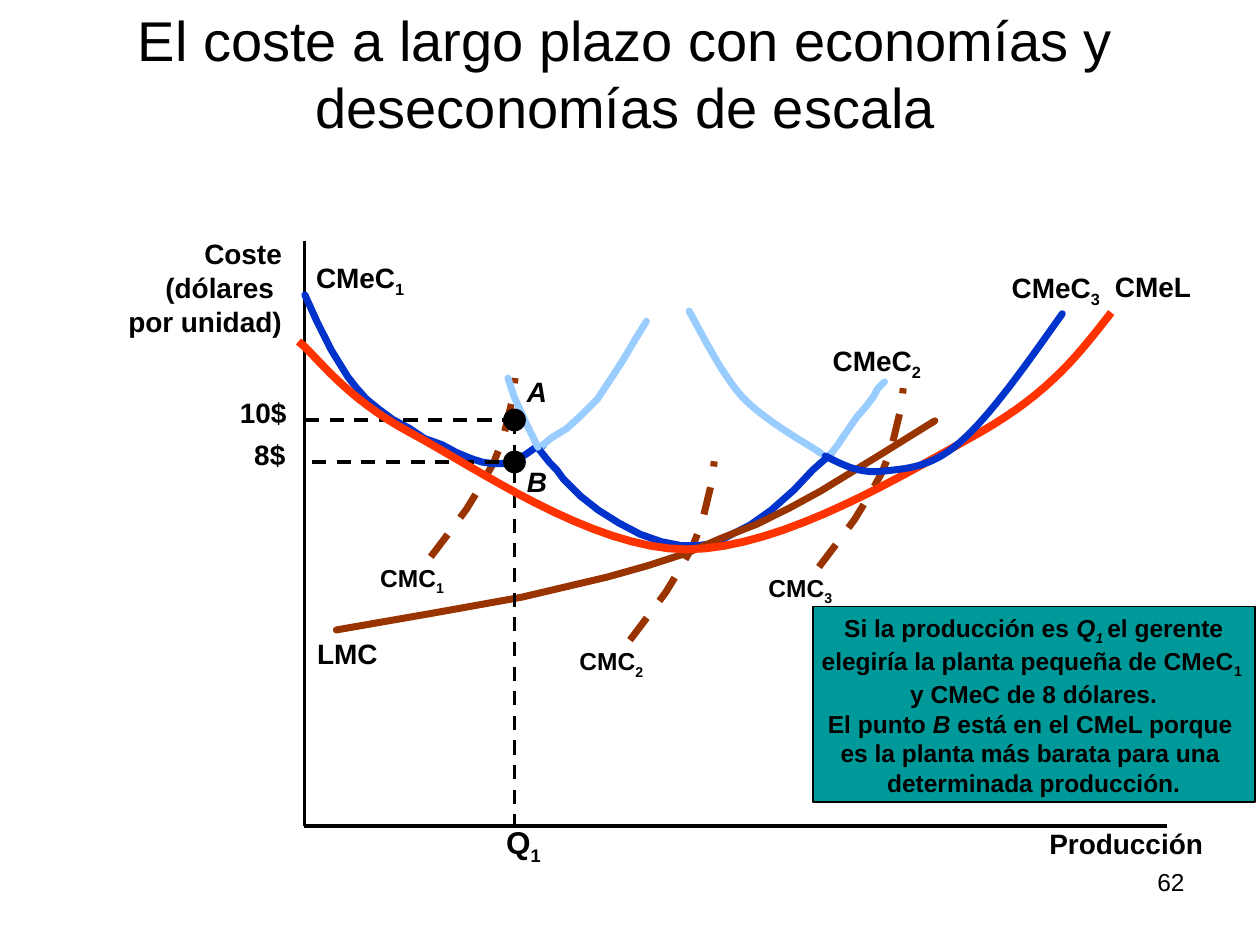
from lxml import etree
from pptx import Presentation
from pptx.dml.color import RGBColor
from pptx.enum.dml import MSO_LINE
from pptx.enum.shapes import MSO_CONNECTOR, MSO_SHAPE
from pptx.enum.text import MSO_ANCHOR, PP_ALIGN
from pptx.oxml.ns import qn
from pptx.util import Pt

COLORS = {"ink": "000000", "blue": "0033CC", "pale": "99CCFF",
          "marginal": "993300", "long_run": "FF3300", "note": "009999"}
BOLD = {"bold": True}
ITALIC = {"bold": True, "italic": True}
SUB = {"bold": True, "baseline": -25000}
ITALIC_SUB = {**ITALIC, "baseline": -25000}

# Curve points are relative to the top left corner of the plot.
CMC_STEPS = [(0, 0), (10.4, -13.7), (20.4, -27.2), (28.8, -40.9), (36, -54),
             (41, -66.5), (44, -78.8), (46.8, -90.5), (48.2, -102.2)]
CMC_STARTS = [(72.2, 180.2), (186, 227.8), (294, 186)]
CMEC1 = [(0.2, 30.5), (7.4, 46.3), (15.4, 62.2), (24.7, 77.3), (29.8, 83.8),
         (35.5, 90.2), (42.7, 96), (50.6, 101.8), (60, 106.8), (68.6, 112.6),
         (78.7, 116.2), (86.6, 120.5), (95.3, 124.1), (101.8, 126.2),
         (108.2, 127), (113.3, 127), (118.3, 125.5), (126.2, 121.9),
         (131.3, 118.3), (136.3, 116.9)]
CMEC1_RISE = [(135.6, 116.9), (140.6, 112.6), (150, 106.8), (158.6, 98.9),
              (167.3, 90.2), (174.5, 79.4), (182.4, 67.2), (189.6, 55),
              (195.4, 45.6)]
CMEC2 = [(134.2, 119), (139.9, 126.2), (144.2, 130.6), (147.8, 135.6),
         (157.9, 145.7), (168, 153.6), (179.5, 160.8), (191.8, 167.3),
         (204, 171.6), (215.5, 173.8), (224.9, 173.8), (235, 172.3),
         (244.3, 167.3), (254.4, 162.2), (266.6, 153.6), (279.6, 142.1),
         (290.4, 130.6), (295.4, 126.2), (301.2, 121.2)]
CMEC2_RISE = [(299.8, 122.6), (304.8, 116.2), (307.7, 111.8), (315.6, 100.3),
              (320.6, 94.6), (325, 88.8), (327.8, 83.8), (331.4, 80.2)]
CMEC2_FALL = [(133.4, 117.6), (127, 104.6), (119.8, 88.8), (116.2, 78)]
LMC = [(18.2, 222), (72.2, 212.6), (124.1, 203.3), (173, 191.8),
       (196.1, 185.3), (218.4, 178.1), (238.6, 169.4), (258.7, 161.5),
       (277.4, 152.2), (294.7, 142.8), (327.8, 122.6), (360.2, 102.5)]
# Bézier chains: a start, then two controls and an end for each segment.
CMEL = [(-3.4, 57.1), (7.4, 65.8), (22.6, 88.8), (60, 109),
        (96.7, 128.4), (164.4, 175.9), (218.4, 175.9),
        (273.1, 175.9), (345.8, 131.3), (386.2, 109),
        (426.5, 85.9), (443, 63.6), (461, 40.6)]
CMEC3_FALL = [(295.4, 121.2), (288.2, 116.2), (263, 102.5), (250.1, 88.8),
              (237.8, 75.1), (225.6, 49.9), (219.8, 39.8)]
CMEC3 = [(433, 41.3), (412.1, 70.8), (391.9, 99.6), (374.6, 114.7),
         (357.4, 129.8), (343, 129.8), (330, 131.3),
         (317, 132.7), (307.7, 127.7), (297.6, 122.6)]


def color(name):
    return RGBColor.from_string(COLORS[name])


def sample_bezier(chain, steps=16):
    points = [chain[0]]
    for first in range(0, len(chain) - 1, 3):
        segment = chain[first:first + 4]
        for step in range(1, steps + 1):
            t = step / steps
            weights = ((1 - t) ** 3, 3 * t * (1 - t) ** 2,
                       3 * t * t * (1 - t), t ** 3)
            points.append(tuple(sum(w * p[axis] for w, p in zip(weights, segment))
                                for axis in (0, 1)))
    return points


def write(shape, paragraphs, size, align=PP_ALIGN.LEFT, anchor=MSO_ANCHOR.TOP,
          wrap=False, inset=7.2):
    """Fill a shape with paragraphs, each a list of (text, format) runs."""
    frame = shape.text_frame
    layout = {"word_wrap": wrap, "vertical_anchor": anchor,
              "margin_left": Pt(inset), "margin_right": Pt(inset),
              "margin_top": Pt(3.6), "margin_bottom": Pt(3.6)}
    for key, value in layout.items():
        setattr(frame, key, value)
    for index, runs in enumerate(paragraphs):
        paragraph = frame.paragraphs[0] if index == 0 else frame.add_paragraph()
        paragraph.alignment = align
        for text, style in runs:
            run = paragraph.add_run()
            run.text = text
            run.font.color.rgb = color("ink")
            for key, value in {"name": "Arial", "size": Pt(size), **style}.items():
                if key == "baseline":
                    run._r.get_or_add_rPr().set("baseline", str(value))
                else:
                    setattr(run.font, key, value)


def add_text(slide, box, paragraphs, size, **layout):
    write(slide.shapes.add_textbox(*map(Pt, box)), paragraphs, size, **layout)


def style_line(line, name, width, dashed=False):
    line.color.rgb = color(name)
    line.width = Pt(width)
    if dashed:
        line.dash_style = MSO_LINE.DASH


def draw_plot(slide, left, top, width, height):
    def curve(points, name, weight=4, dashed=False, cap="rnd"):
        placed = [(Pt(left + x), Pt(top + y)) for x, y in points]
        builder = slide.shapes.build_freeform(*placed[0], scale=1.0)
        builder.add_line_segments(placed[1:], close=False)
        shape = builder.convert_to_shape()
        shape.shadow.inherit = False
        shape.fill.background()
        style_line(shape.line, name, weight, dashed)
        shape.line._get_or_add_ln().set("cap", cap)

    def straight(x1, y1, x2, y2, dashed=False):
        ends = (left + x1, top + y1, left + x2, top + y2)
        line = slide.shapes.add_connector(MSO_CONNECTOR.STRAIGHT, *map(Pt, ends))
        style_line(line.line, "ink", 2, dashed)
        etree.SubElement(line._element.spPr, qn("a:effectLst"))

    def label(x, y, w, runs, size=16, h=26):
        add_text(slide, (left + x, top + y, w, h), [runs], size)

    straight(0, 0, 0, height)
    straight(0, height, width, height)
    label(418.6, 330.7, 102, [("Producción", BOLD)])
    add_text(slide, (left - 107.8, top - 6.2, 102, 84),
             [[(line, BOLD)] for line in ("Coste", "(dólares ", "por unidad)")],
             16, align=PP_ALIGN.RIGHT)

    for number, (x, y) in enumerate(CMC_STARTS, 1):
        curve([(x + dx, y + dy) for dx, dy in CMC_STEPS], "marginal",
              dashed=True, cap="flat")
        label(x - 36, y, 51, [("CMC", BOLD), (str(number), SUB)], 14)
    for number, (x, y) in enumerate([(-0.5, 7.4), (294.7, 55), (397, 13.2)], 1):
        label(x, y, 65, [("CMeC", BOLD), (str(number), SUB)], h=29)

    for points, name in [(CMEC1, "blue"), (CMEC1_RISE, "pale"), (CMEC2, "blue"),
                         (CMEC2_RISE, "pale"), (CMEC2_FALL, "pale"),
                         (LMC, "marginal")]:
        curve(points, name)
    label(0.2, 222, 53, [("LMC", BOLD)])

    q1, cost_a, cost_b = 120, 102, 126
    straight(q1, cost_a, q1, height, dashed=True)
    straight(q1 + 1, cost_a, 0, cost_a, dashed=True)
    straight(q1 - 9, cost_b, 0, cost_b, dashed=True)
    radius = 6
    for cost in (cost_a, cost_b):
        dot = slide.shapes.add_shape(
            MSO_SHAPE.OVAL, Pt(left + q1 - radius), Pt(top + cost - radius),
            Pt(2 * radius), Pt(2 * radius))
        dot.shadow.inherit = False
        dot.fill.solid()
        dot.fill.fore_color.rgb = color("ink")
        style_line(dot.line, "ink", 1)
    label(-44, 84.5, 41, [("10$", BOLD)])
    label(-35.8, 108.2, 32, [("8$", BOLD)])
    label(q1, 72.2, 26, [("A", ITALIC)])
    label(q1, 124.1, 26, [("B", ITALIC)])
    label(108.2, 328.6, 34, [("Q", BOLD), ("1", SUB)], 18, 32)

    label(456, 12.5, 62, [("CMeL", BOLD)])
    curve(sample_bezier(CMEL), "long_run", 4.5, cap="flat")
    curve(sample_bezier(CMEC3_FALL), "pale")
    curve(sample_bezier(CMEC3), "blue")


def draw_note(slide, *box):
    note = slide.shapes.add_shape(MSO_SHAPE.RECTANGLE, *map(Pt, box))
    note.shadow.inherit = False
    note.fill.solid()
    note.fill.fore_color.rgb = color("note")
    style_line(note.line, "ink", 1)
    write(note, [
        [("Si la producción es ", BOLD), ("Q", ITALIC), ("1 ", ITALIC_SUB),
         ("el gerente", BOLD)],
        [("elegiría la planta pequeña de CMeC", BOLD), ("1 ", SUB)],
        [("y CMeC de 8 dólares.", BOLD)],
        [("El punto ", BOLD), ("B", ITALIC), (" está en el CMeL porque ", BOLD)],
        [("es la planta más barata para una ", BOLD)],
        [("determinada producción.", BOLD)],
    ], 14, align=PP_ALIGN.CENTER, inset=4.6)


def main():
    deck = Presentation()
    deck.slide_width, deck.slide_height = Pt(720), Pt(540)
    slide = deck.slides.add_slide(deck.slide_layouts[6])
    add_text(slide, (43, 22.5, 629, 61),
             [[("El coste a largo plazo con economías y deseconomías de escala", {})]],
             32, align=PP_ALIGN.CENTER, anchor=MSO_ANCHOR.BOTTOM, wrap=True)
    draw_plot(slide, 174, 138, 493, 334)
    draw_note(slide, 464.5, 346.5, 252.5, 112)
    add_text(slide, (516, 492, 168, 37), [[("62", {})]], 14,
             align=PP_ALIGN.RIGHT, wrap=True)
    deck.save("out.pptx")


if __name__ == "__main__":
    main()
